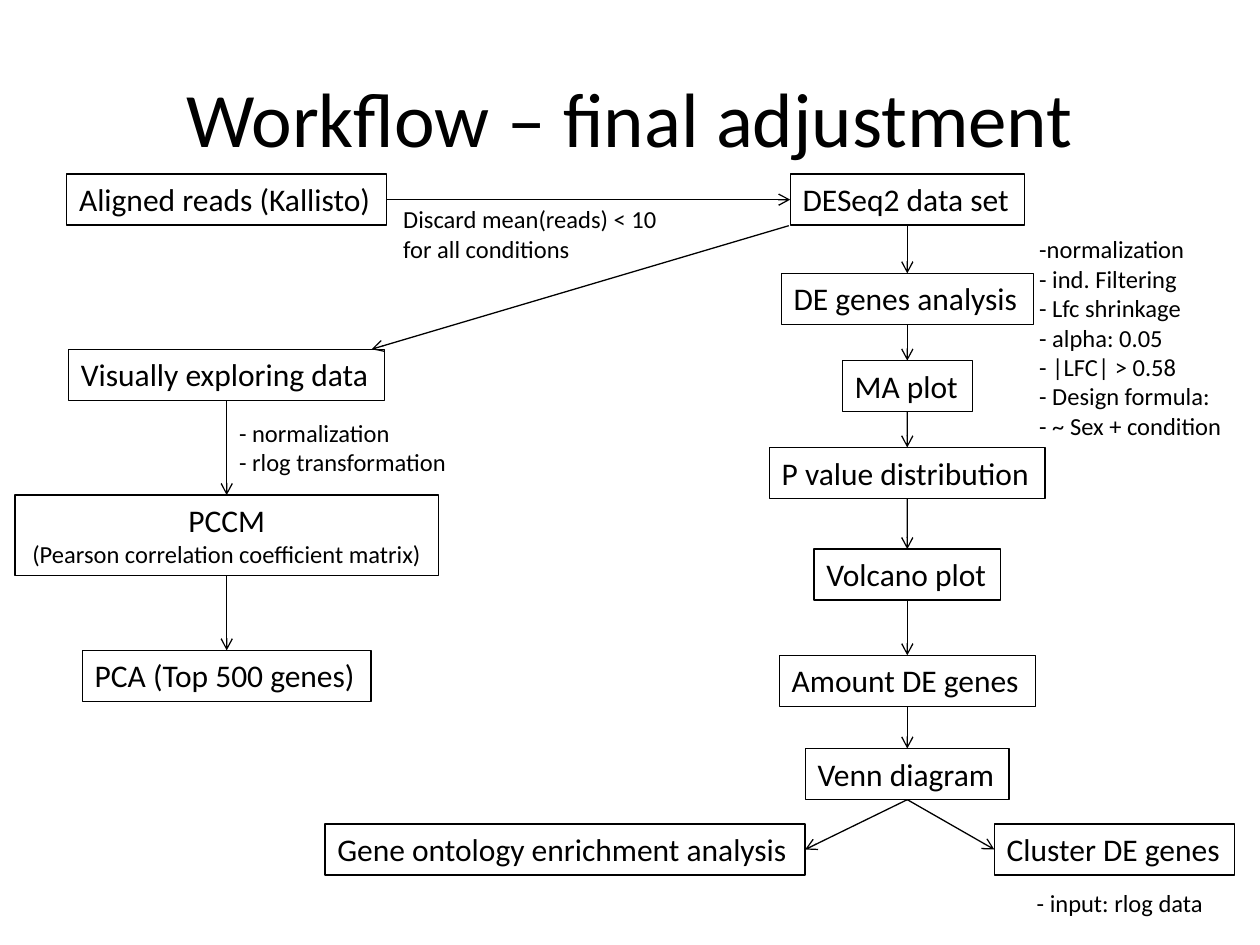
from lxml import etree
from pptx import Presentation
from pptx.dml.color import RGBColor
from pptx.enum.shapes import MSO_CONNECTOR
from pptx.enum.text import MSO_ANCHOR, MSO_AUTO_SIZE, PP_ALIGN
from pptx.oxml.ns import qn
from pptx.util import Cm, Pt

STRAIGHT = MSO_CONNECTOR.STRAIGHT
LEFT, CENTER = PP_ALIGN.LEFT, PP_ALIGN.CENTER
MIDDLE = MSO_ANCHOR.MIDDLE
FIT = MSO_AUTO_SIZE.SHAPE_TO_FIT_TEXT
COLORS = {"ink": "000000"}
FONT = "Calibri"
INK = RGBColor.from_string(COLORS["ink"])
TOP_SITE, LEFT_SITE, BOTTOM_SITE, RIGHT_SITE = range(4)
LEFT_AXIS, RIGHT_AXIS = 4.57, 18.29
BOX_HEIGHT = 1.03

LEFT_STEPS = [
    (["Visually exploring data"], 7.04, 6.38, BOX_HEIGHT),
    (["PCCM", "(Pearson correlation coefficient matrix)"], 9.98, 8.53, 1.63),
    (["PCA (Top 500 genes)"], 13.11, 5.82, BOX_HEIGHT),
]
RIGHT_STEPS = [
    (["DESeq2 data set"], 3.51, 4.72, BOX_HEIGHT),
    (["DE genes analysis"], 5.51, 5.08, BOX_HEIGHT),
    (["MA plot"], 7.27, 2.62, BOX_HEIGHT),
    (["P value distribution"], 9.02, 5.56, BOX_HEIGHT),
    (["Volcano plot"], 11.07, 3.76, BOX_HEIGHT),
    (["Amount DE genes"], 13.21, 5.16, BOX_HEIGHT),
    (["Venn diagram"], 15.09, 4.11, BOX_HEIGHT),
]
NOTES = [
    (["- normalization", "- rlog transformation"], 4.57, 8.3, 4.72, 1.45),
    (["Discard mean(reads) < 10 ", "for all conditions"], 7.88, 3.99, 5.77, 1.45),
    (["-normalization", "- ind. Filtering", "- Lfc shrinkage", "- alpha: 0.05",
      "- |LFC| > 0.58", "- Design formula:", "- ~ Sex + condition"],
     20.7, 4.6, 4.22, 5.05),
    (["- input: rlog data"], 20.65, 17.78, 3.89, 0.86),
]


def add_text(s, lines, x, y, w, h, sizes, align=LEFT):
    """Add a text box with one paragraph per line."""
    sp = s.shapes.add_textbox(Cm(x), Cm(y), Cm(w), Cm(h))
    tf = sp.text_frame
    tf.text = "\n".join(lines)
    tf.word_wrap = False
    tf.auto_size = FIT
    for p, size in zip(tf.paragraphs, sizes):
        p.alignment = align
        for r in p.runs:
            r.font.name = FONT
            r.font.size = Pt(size)
            r.font.color.rgb = INK
    return sp


def add_title(s, text):
    """Add the centred slide title."""
    sp = add_text(s, [text], 1.27, 0.76, 22.86, 3.18, [44], CENTER)
    tf = sp.text_frame
    tf.word_wrap = True
    tf.auto_size = MSO_AUTO_SIZE.NONE
    tf.vertical_anchor = MIDDLE


def add_box(s, axis, lines, y, w, h):
    """Add an outlined step centred on a vertical axis."""
    align = CENTER if len(lines) > 1 else LEFT
    sp = add_text(s, lines, axis - w / 2, y, w, h, [18, 14], align)
    sp.line.color.rgb = INK
    sp.line.width = Pt(0.75)
    return sp


def add_arrow(s, x1=0, y1=0, x2=0, y2=0):
    """Add a thin straight line with an open arrowhead at its end."""
    arrow = s.shapes.add_connector(STRAIGHT, Cm(x1), Cm(y1), Cm(x2), Cm(y2))
    arrow.line.color.rgb = INK
    arrow.line.width = Pt(0.75)
    etree.SubElement(arrow.line._get_or_add_ln(), qn("a:tailEnd"), type="arrow")
    etree.SubElement(arrow._element.spPr, qn("a:effectLst"))
    return arrow


def link(s, start, end, start_site=BOTTOM_SITE, end_site=TOP_SITE):
    """Join two steps with an arrow."""
    arrow = add_arrow(s)
    arrow.begin_connect(start, start_site)
    arrow.end_connect(end, end_site)


def add_chain(s, axis, steps):
    """Add a column of steps, each linked to the next."""
    boxes = [add_box(s, axis, *step) for step in steps]
    for start, end in zip(boxes, boxes[1:]):
        link(s, start, end)
    return boxes


def main():
    """Build the workflow slide."""
    prs = Presentation()
    prs.slide_width, prs.slide_height = Cm(25.4), Cm(19.05)
    s = prs.slides.add_slide(prs.slide_layouts[6])
    add_title(s, "Workflow – final adjustment")
    reads = add_box(s, LEFT_AXIS, ["Aligned reads (Kallisto)"], 3.51, 6.45, BOX_HEIGHT)
    add_chain(s, LEFT_AXIS, LEFT_STEPS)
    analysis = add_chain(s, RIGHT_AXIS, RIGHT_STEPS)
    ontology = add_box(s, 11.39, ["Gene ontology enrichment analysis"],
                       16.61, 9.68, BOX_HEIGHT)
    cluster = add_box(s, 22.47, ["Cluster DE genes"], 16.61, 4.85, BOX_HEIGHT)
    link(s, reads, analysis[0], RIGHT_SITE, LEFT_SITE)
    add_arrow(s, 15.9, 4.55, 7.49, 7.04)
    link(s, analysis[-1], ontology, end_site=RIGHT_SITE)
    link(s, analysis[-1], cluster, end_site=LEFT_SITE)
    for lines, *place in NOTES:
        add_text(s, lines, *place, [14] * len(lines))
    prs.save("out.pptx")


main()
